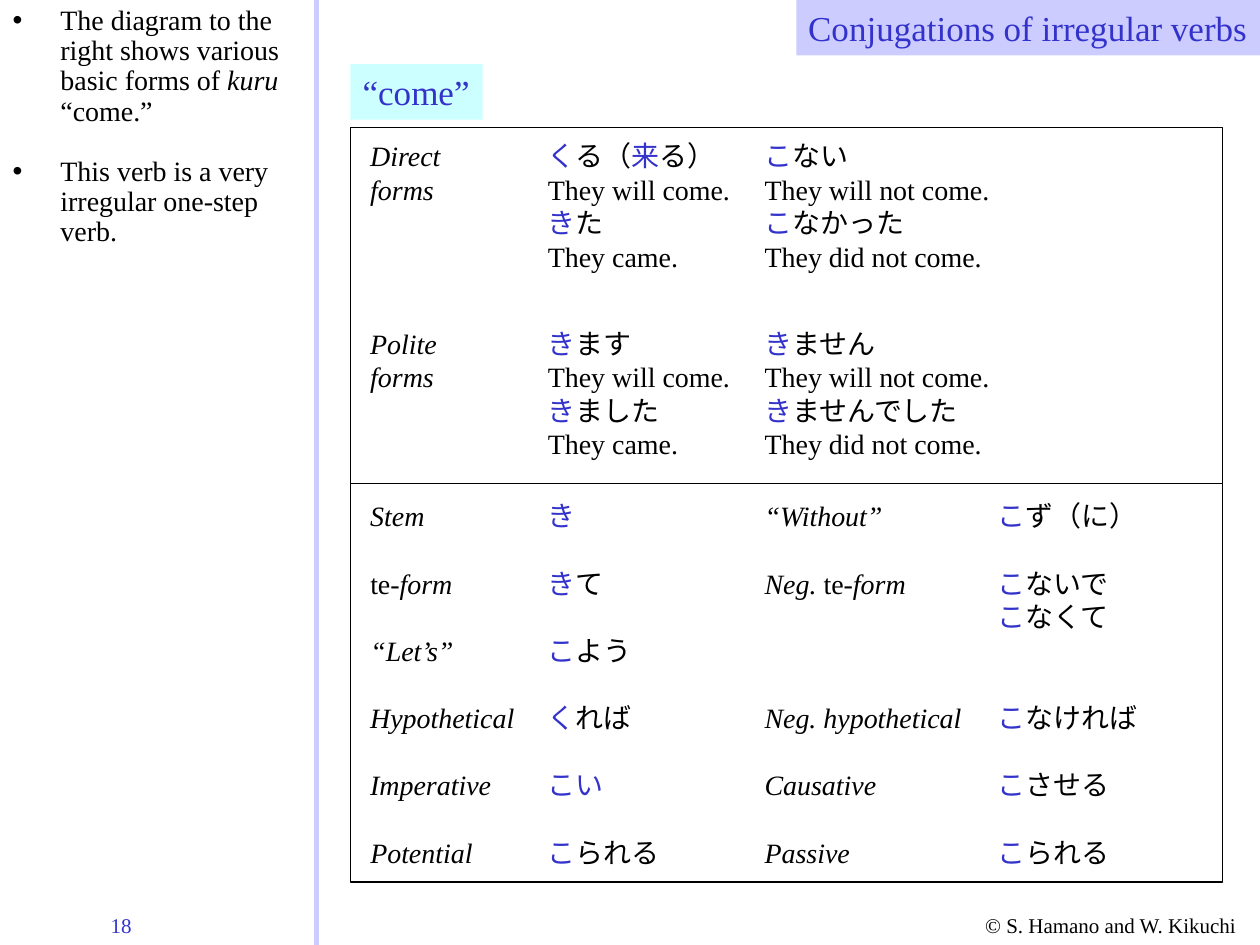
from dataclasses import dataclass

from lxml import etree
from pptx import Presentation
from pptx.dml.color import RGBColor
from pptx.enum.shapes import MSO_CONNECTOR, MSO_SHAPE
from pptx.enum.text import MSO_ANCHOR, MSO_AUTO_SIZE, PP_ALIGN
from pptx.oxml.ns import qn
from pptx.util import Inches, Pt

RECTANGLE = MSO_SHAPE.RECTANGLE
STRAIGHT = MSO_CONNECTOR.STRAIGHT
TOP = MSO_ANCHOR.TOP
NO_AUTOFIT = MSO_AUTO_SIZE.NONE
LEFT, RIGHT = PP_ALIGN.LEFT, PP_ALIGN.RIGHT


@dataclass(frozen=True)
class Theme:
    font: str = "Times New Roman"
    ink: RGBColor = RGBColor(0, 0, 0)
    accent: RGBColor = RGBColor(0x33, 0x33, 0xCC)
    lavender: RGBColor = RGBColor(0xCC, 0xCC, 0xFF)
    aqua: RGBColor = RGBColor(0xCC, 0xFF, 0xFF)
    heading: int = 20
    body: int = 16
    small: int = 12


THEME = Theme()


@dataclass(frozen=True)
class Run:
    text: str
    color: RGBColor = THEME.ink
    italic: bool = False
    size: int = THEME.body


Line = list[Run]


@dataclass(frozen=True)
class Cell:
    column: int
    row: int
    width: float
    lines: list[Line]


def plain(text: str) -> Line:
    return [Run(text)]


def italic(text: str) -> Line:
    return [Run(text, italic=True)]


def verb(stem: str, ending: str = "") -> Line:
    """Colour the changing stem and leave the ending black."""
    return [Run(stem, THEME.accent)] + (plain(ending) if ending else [])


def direct_or_polite(present: Line, past: Line, negative: bool) -> list[Line]:
    """Put each verb form above its English meaning."""
    will, did = ("will not come", "did not come") if negative else ("will come", "came")
    return [present, plain(f"They {will}."), past, plain(f"They {did}.")]


COLUMN_LEFTS = [2.84, 4.25, 5.97, 7.82]
STEM_TOP, POTENTIAL_TOP = 3.91, 6.58
ROW_PITCH = (POTENTIAL_TOP - STEM_TOP) / 5
ROW_TOPS = [1.05, 2.54] + [STEM_TOP + ROW_PITCH * step for step in range(6)]
LINE_HEIGHT = 0.27
PANEL_LEFT, PANEL_WIDTH = 2.78, 6.92
PANEL_EDGES = [1.01, 3.84, 7]
DIVIDER_X = 2.51

CELLS = [
    Cell(0, 0, 0.76, [italic("Direct"), italic("forms")]),
    Cell(1, 0, 1.64, direct_or_polite(verb("く", "る（") + verb("来", "る）"),
                                      verb("き", "た"), False)),
    Cell(2, 0, 1.98, direct_or_polite(verb("こ", "ない"), verb("こ", "なかった"), True)),
    Cell(0, 1, 0.73, [italic("Polite"), italic("forms")]),
    Cell(1, 1, 1.64, direct_or_polite(verb("き", "ます"), verb("き", "ました"), False)),
    Cell(2, 1, 1.98, direct_or_polite(verb("き", "ません"), verb("き", "ませんでした"), True)),
    Cell(0, 2, 0.63, [italic("Stem")]),
    Cell(1, 2, 0.42, [verb("き")]),
    Cell(2, 2, 1.15, [italic("“Without”")]),
    Cell(3, 2, 1.31, [verb("こ", "ず（に）")]),
    Cell(0, 3, 0.85, [plain("te") + italic("-form")]),
    Cell(1, 3, 0.64, [verb("き", "て")]),
    Cell(2, 3, 1.32, [italic("Neg. ") + plain("te") + italic("-form")]),
    Cell(3, 3, 1.08, [verb("こ", "ないで"), verb("こ", "なくて")]),
    Cell(0, 4, 0.89, [italic("“Let’s”")]),
    Cell(1, 4, 0.86, [verb("こ", "よう")]),
    Cell(0, 5, 1.34, [italic("Hypothetical")]),
    Cell(1, 5, 0.86, [verb("く", "れば")]),
    Cell(2, 5, 1.76, [italic("Neg. hypothetical")]),
    Cell(3, 5, 1.31, [verb("こ", "なければ")]),
    Cell(0, 6, 1.16, [italic("Imperative")]),
    Cell(1, 6, 0.64, [verb("こい")]),
    Cell(2, 6, 1.08, [italic("Causative")]),
    Cell(3, 6, 1.08, [verb("こ", "させる")]),
    Cell(0, 7, 1.01, [italic("Potential")]),
    Cell(1, 7, 1.08, [verb("こ", "られる")]),
    Cell(2, 7, 0.87, [italic("Passive")]),
    Cell(3, 7, 1.08, [verb("こ", "られる")]),
]

NOTES = [
    plain("The diagram to the right shows various basic forms of ")
    + italic("kuru") + plain(" “come.”"),
    plain("This verb is a very irregular one-step verb."),
]


def write(frame, lines: list[Line], align=LEFT, wrap: bool = False) -> None:
    frame.auto_size = NO_AUTOFIT
    frame.word_wrap = wrap
    frame.vertical_anchor = TOP
    for index, line in enumerate(lines):
        paragraph = frame.paragraphs[0] if index == 0 else frame.add_paragraph()
        paragraph.alignment = align
        for part in line:
            run = paragraph.add_run()
            run.text = part.text
            run.font.name = THEME.font
            run.font.size = Pt(part.size)
            run.font.italic = part.italic
            run.font.color.rgb = part.color


def place(shape, left: float, top: float, width: float, height: float) -> None:
    shape.left, shape.top = Inches(left), Inches(top)
    shape.width, shape.height = Inches(width), Inches(height)


def add_label(slide, left: float, top: float, width: float, height: float,
              lines: list[Line]) -> None:
    label = slide.shapes.add_textbox(Inches(left), Inches(top), Inches(width), Inches(height))
    write(label.text_frame, lines)


def add_rectangle(slide, left: float, top: float, width: float, height: float):
    rectangle = slide.shapes.add_shape(
        RECTANGLE, Inches(left), Inches(top), Inches(width), Inches(height))
    rectangle.shadow.inherit = False
    return rectangle


def add_panel(slide, top: float, bottom: float) -> None:
    panel = add_rectangle(slide, PANEL_LEFT, top, PANEL_WIDTH, bottom - top)
    panel.fill.background()
    panel.line.color.rgb = THEME.ink
    panel.line.width = Pt(0.75)


def add_divider(slide) -> None:
    divider = slide.shapes.add_connector(
        STRAIGHT, Inches(DIVIDER_X), 0, Inches(DIVIDER_X), Inches(7.5))
    divider.line.color.rgb = THEME.lavender
    divider.line.width = Pt(3)
    etree.SubElement(divider._element.spPr, qn("a:effectLst"))


def fill_title(title) -> None:
    place(title, 6.32, 0, 3.68, 0.44)
    title.fill.solid()
    title.fill.fore_color.rgb = THEME.lavender
    title.text_frame.margin_left = 0
    write(title.text_frame,
          [[Run("Conjugations of irregular verbs", THEME.accent, size=THEME.heading)]], RIGHT)


def fill_notes(notes) -> None:
    place(notes, 0, 0, DIVIDER_X, 2.2)
    write(notes.text_frame, NOTES, wrap=True)
    for index, paragraph in enumerate(notes.text_frame.paragraphs):
        properties = paragraph._p.get_or_add_pPr()
        properties.set("marL", str(Inches(0.38)))
        properties.set("indent", str(Inches(-0.38)))
        etree.SubElement(properties, qn("a:buChar")).set("char", "•")
        paragraph.line_spacing = 0.9
        paragraph.space_before = Pt(17.3 * index)


def main() -> None:
    presentation = Presentation()
    presentation.slide_width, presentation.slide_height = Inches(10), Inches(7.5)
    slide = presentation.slides.add_slide(presentation.slide_layouts[1])

    add_divider(slide)
    title, notes = slide.placeholders
    fill_title(title)
    fill_notes(notes)

    meaning = add_rectangle(slide, PANEL_LEFT, 0.51, 1.05, 0.44)
    meaning.fill.solid()
    meaning.fill.fore_color.rgb = THEME.aqua
    meaning.line.fill.background()
    write(meaning.text_frame, [[Run("“come”", THEME.accent, size=THEME.heading)]])

    for top, bottom in zip(PANEL_EDGES, PANEL_EDGES[1:]):
        add_panel(slide, top, bottom)
    for cell in CELLS:
        add_label(slide, COLUMN_LEFTS[cell.column], ROW_TOPS[cell.row], cell.width,
                  0.1 + LINE_HEIGHT * len(cell.lines), cell.lines)

    add_label(slide, 0.78, 7.19, 0.89, 0.3, [[Run("18", THEME.accent, size=THEME.small)]])
    add_label(slide, 7.72, 7.19, 2.28, 0.3,
              [[Run("© S. Hamano and W. Kikuchi", size=THEME.small)]])
    presentation.save("out.pptx")


if __name__ == "__main__":
    main()
